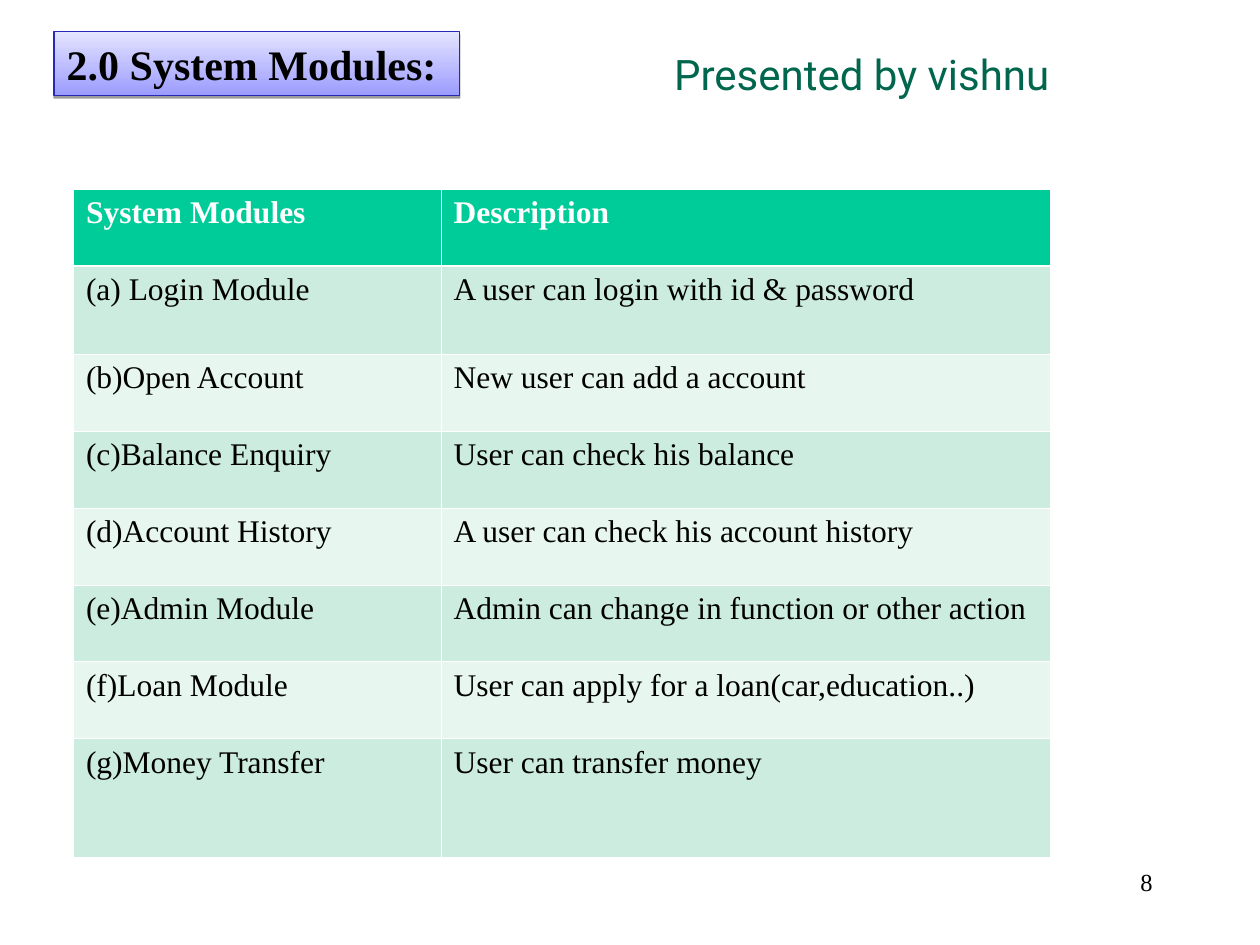
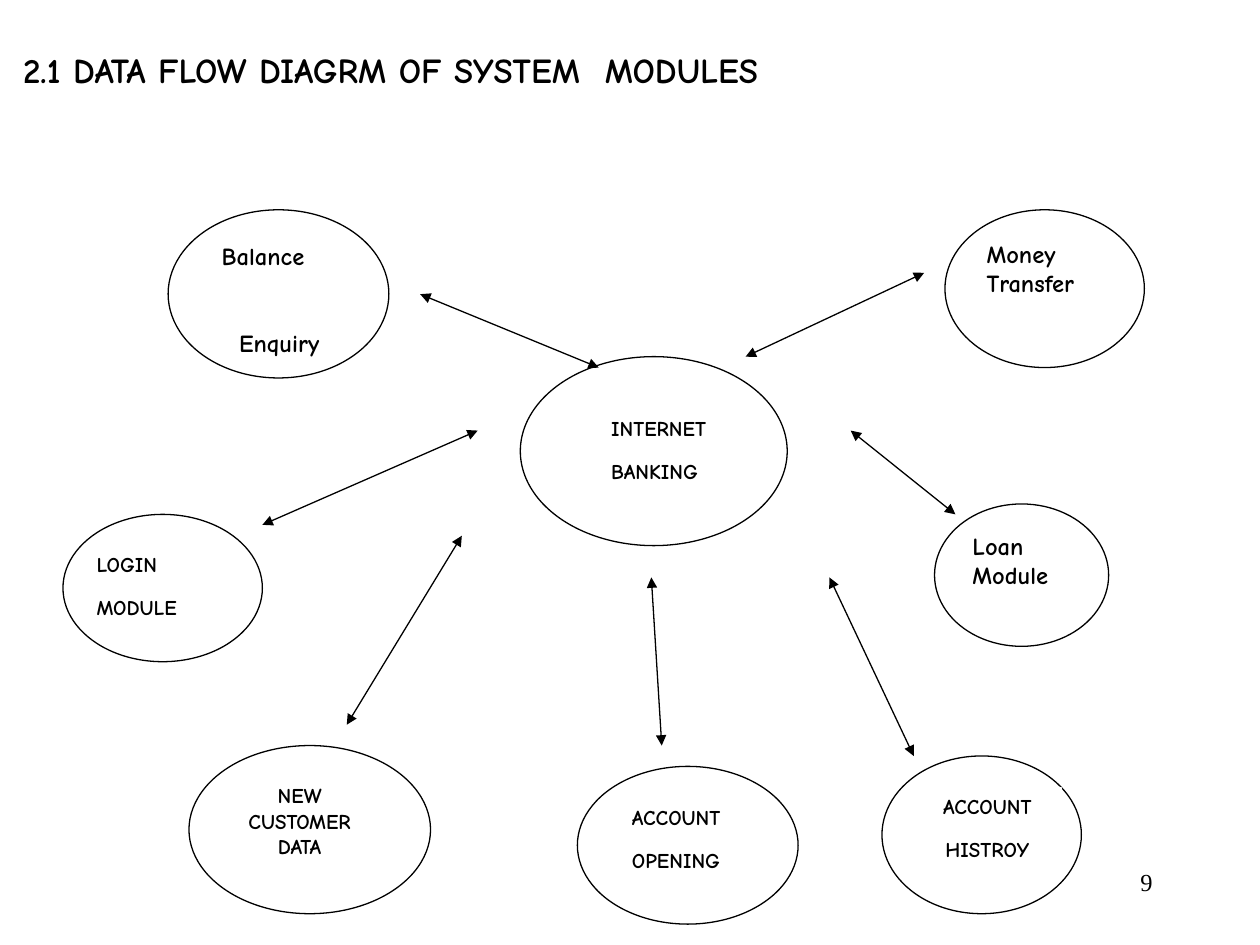
"""Build two slides on the modules of a banking system: a table and a data flow diagram."""
from lxml import etree
from pptx import Presentation
from pptx.dml.color import RGBColor
from pptx.enum import shapes, text
from pptx.oxml import parse_xml
from pptx.oxml.ns import nsdecls, qn
from pptx.util import Cm, Pt

COLORS = {
    "black": "000000", "white": "FFFFFF", "green": "00664D",
    "head": "00CC99", "odd": "CBECDE", "even": "E7F6EF",
    "edge": "2828B8", "deep": "9C9CFF", "pale": "E4E4FF",
}
RGB = {name: RGBColor.from_string(value) for name, value in COLORS.items()}
SERIF, COMIC, SANS = "Times New Roman", "Comic Neue", "Roboto"
LEFT, CENTER, RIGHT = text.PP_ALIGN.LEFT, text.PP_ALIGN.CENTER, text.PP_ALIGN.RIGHT
OVAL, RECT = shapes.MSO_SHAPE.OVAL, shapes.MSO_SHAPE.RECTANGLE
FRAME = {"word_wrap": True, "auto_size": text.MSO_AUTO_SIZE.NONE,
         "vertical_anchor": text.MSO_ANCHOR.TOP}


def write(tf, lines, size, name, color="black", bold=False, align=LEFT, after=0):
    for i, line in enumerate(lines):
        p = tf.add_paragraph() if i else tf.paragraphs[0]
        p.text = line
        for key, value in {"alignment": align, "space_after": Pt(after)}.items():
            setattr(p, key, value)
        for key, value in {"size": Pt(size), "name": name, "bold": bold}.items():
            setattr(p.font, key, value)
        p.font.color.rgb = RGB[color]


def add_box(s, kind, box, line):
    sp = s.shapes.add_shape(kind, *map(Cm, box))
    sp.shadow.inherit = False
    sp.fill.solid()
    sp.fill.fore_color.rgb = RGB["white"]
    sp.line.color.rgb = RGB[line]
    sp.line.width = Pt(0.75)
    for key, value in FRAME.items():
        setattr(sp.text_frame, key, value)
    return sp


prs = Presentation()
prs.slide_width, prs.slide_height = Cm(25.4), Cm(19.05)

headings = [
    ("2.0 System Modules:", (1.09, 0.64, 8.18, 1.28), 24, SERIF, "8"),
    ("2.1 DATA FLOW DIAGRM OF SYSTEM  MODULES", (0.21, 0.85, 18.84, 1.11), 20, COMIC, "9"),
]
for title, box, size, name, number in headings:
    s = prs.slides.add_slide(prs.slide_layouts[5])
    sp = s.shapes.title
    for key, value in zip(("left", "top", "width", "height"), box):
        setattr(sp, key, Cm(value))
    page = s.shapes.add_textbox(Cm(18.2), Cm(17.36), Cm(5.29), Cm(1.27))
    for tf in (sp.text_frame, page.text_frame):
        for key, value in FRAME.items():
            setattr(tf, key, value)
    write(sp.text_frame, [title], size, name, bold=True)
    write(page.text_frame, [number], 14, SERIF, align=RIGHT)

modules, flow = prs.slides

sp = modules.shapes.title
sp.text_frame.word_wrap = False
sp.fill.gradient()
sp.fill.gradient_angle = 90
for stop, color in zip(sp.fill.gradient_stops, ("deep", "pale")):
    stop.color.rgb = RGB[color]
sp.line.color.rgb = RGB["edge"]
sp.line.width = Pt(0.75)
sp.shadow.inherit = False
sp.element.spPr.find(qn("a:effectLst")).append(parse_xml(
    f'<a:outerShdw {nsdecls("a")} dist="20320" dir="5400000" rotWithShape="0">'
    f'<a:srgbClr val="{COLORS["black"]}"><a:alpha val="38000"/></a:srgbClr></a:outerShdw>'))

presenter = modules.shapes.add_textbox(Cm(13.34), Cm(0.85), Cm(10.58), Cm(1.27))
presenter.text_frame.word_wrap = True
write(presenter.text_frame, ["Presented by vishnu"], 24, SANS, "green")

rows = [
    ("System Modules", "Description"),
    ("(a) Login Module", "A user can login with id & password"),
    ("(b)Open Account", "New user can add a account"),
    ("(c)Balance Enquiry", "User can check his balance"),
    ("(d)Account History", "A user can check his account history"),
    ("(e)Admin Module", "Admin can change in function or other action"),
    ("(f)Loan Module", "User can apply for a loan(car,education..)"),
    ("(g)Money Transfer", "User can transfer money"),
]
heights = [1.55, 1.78] + [1.55] * 5 + [2.39]
table = modules.shapes.add_table(
    len(rows), 2, Cm(1.48), Cm(3.81), Cm(19.69), Cm(sum(heights))).table
for column, width in zip(table.columns, (7.41, 12.28)):
    column.width = Cm(width)
for i, (row, height) in enumerate(zip(rows, heights)):
    table.rows[i].height = Cm(height)
    fill = "head" if i == 0 else "odd" if i % 2 else "even"
    widths = {"L": 0.45, "R": 0.45, "T": 1.47 if i == 1 else 0.45, "B": 0.45 if i else 1.47}
    for j, words in enumerate(row):
        cell = table.cell(i, j)
        write(cell.text_frame, [words], 18, SERIF, "black" if i else "white", i == 0)
        tcPr = cell._tc.get_or_add_tcPr()
        for side, width in widths.items():
            tcPr.append(parse_xml(
                f'<a:ln{side} {nsdecls("a")} w="{Pt(width)}"><a:solidFill>'
                f'<a:srgbClr val="{COLORS["white"]}"/></a:solidFill></a:ln{side}>'))
        cell.fill.solid()
        cell.fill.fore_color.rgb = RGB[fill]

labelled = [
    ((10.49, 7.19, 5.38, 3.81), (12.07, 8.26, 2.87, 1.6), ["INTERNET", "BANKING"], LEFT, 10),
    ((17.78, 15.24, 4.02, 3.18), (18.42, 15.88, 2.97, 1.7), ["ACCOUNT", "HISTROY"], CENTER, 10),
    ((11.64, 15.45, 4.45, 3.18), (12.49, 16.09, 2.87, 1.9), ["ACCOUNT", "OPENING"], LEFT, 10),
    ((1.27, 10.37, 4.02, 2.97), (1.7, 11, 2.54, 1.57), ["LOGIN", "MODULE"], LEFT, 10),
    ((3.81, 15.03, 4.87, 3.39), (4.45, 15.66, 3.18, 1.9), ["NEW CUSTOMER DATA"], CENTER, 0),
]
for oval, label, lines, align, after in labelled:
    add_box(flow, OVAL, oval, "black")
    sp = add_box(flow, RECT, label, "white")
    write(sp.text_frame, lines, 12, COMIC, bold=True, align=align, after=after)

ovals = [
    ((19.05, 4.23, 4.02, 3.18), ["Money Transfer"]),
    ((18.84, 10.16, 3.51, 2.87), ["Loan Module"]),
    ((3.39, 4.23, 4.45, 3.39), ["Balance", "Enquiry"]),
]
for oval, lines in ovals:
    sp = add_box(flow, OVAL, oval, "black")
    write(sp.text_frame, lines, 14, COMIC, bold=True)
balance, enquiry = sp.text_frame.paragraphs
enquiry.space_before = Pt(33)
for p, indent in ((balance, 0.18), (enquiry, 0.53)):
    p._p.get_or_add_pPr().set("marL", str(Cm(indent)))

arrows = [
    (13.34, 15.03, 13.13, 11.64),
    (17.15, 8.68, 19.26, 10.37),
    (15.03, 7.19, 18.63, 5.5),
    (8.47, 5.93, 12.07, 7.41),
    (5.29, 10.58, 9.63, 8.68),
    (18.42, 15.24, 16.72, 11.64),
    (6.99, 14.61, 9.31, 10.8),
]
for ends in arrows:
    arrow = flow.shapes.add_connector(shapes.MSO_CONNECTOR.STRAIGHT, *map(Cm, ends))
    arrow.line.color.rgb = RGB["black"]
    arrow.line.width = Pt(0.75)
    spPr = arrow._element.spPr
    for tag in ("a:headEnd", "a:tailEnd"):
        etree.SubElement(spPr.find(qn("a:ln")), qn(tag), type="triangle")
    etree.SubElement(spPr, qn("a:effectLst"))

prs.save("out.pptx")
